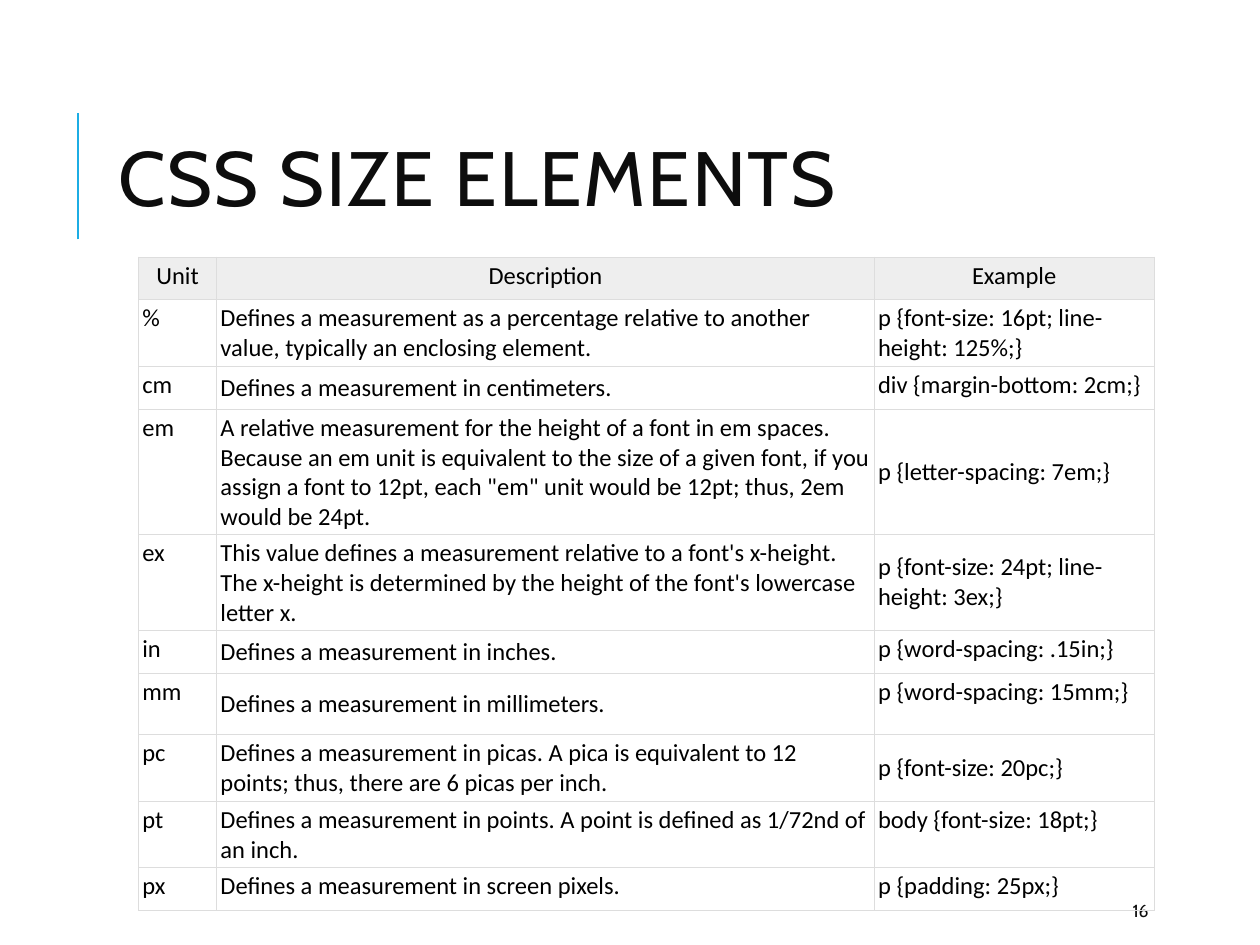
from dataclasses import dataclass
from lxml.etree import SubElement
from pptx import Presentation
from pptx.dml.color import RGBColor as RGB
from pptx.enum.shapes import MSO_CONNECTOR as Connector
from pptx.enum.text import MSO_ANCHOR as Anchor, PP_ALIGN as Align
from pptx.oxml.ns import qn
from pptx.util import Inches, Pt


@dataclass(frozen=True)
class Theme:
    heading_font: str = "Cabin"
    table_font: str = "Calibri"
    ink: str = "0D0D0D"
    table_ink: str = "000000"
    accent: str = "1CADE4"
    header_fill: str = "EEEEEE"
    border: str = "DDDDDD"
    title_size: int = 44
    table_size: int = 14
    number_size: int = 10


theme = Theme()
deck = Presentation()
deck.slide_width, deck.slide_height = Inches(10), Inches(7.5)
grid_step = deck.slide_width // 100
slide = deck.slides.add_slide(deck.slide_layouts[6])


def grid(*steps):
    return [round(step * grid_step) for step in steps]


def write(frame, text, *, font, size, color, align=Align.LEFT,
          anchor=Anchor.MIDDLE, line_spacing=None, tracking=None):
    frame.word_wrap = True
    frame.vertical_anchor = anchor
    paragraph = frame.paragraphs[0]
    paragraph.alignment = align
    paragraph.line_spacing = line_spacing
    run = paragraph.add_run()
    run.text = text
    run.font.name = font
    run.font.size = Pt(size)
    run.font.color.rgb = RGB.from_string(color)
    if tracking:
        run.font._element.set("spc", str(tracking * 100))


accent_bar = slide.shapes.add_connector(Connector.STRAIGHT, *grid(6.2, 19, 6.2, 9))
accent_bar.line.color.rgb = RGB.from_string(theme.accent)
accent_bar.line.width = Pt(1.5)
SubElement(accent_bar._element.spPr, qn("a:effectLst"))

title = slide.shapes.add_textbox(*grid(8.4, 6.4, 79.7, 16.4))
write(title.text_frame, "CSS SIZE ELEMENTS", font=theme.heading_font,
      size=theme.title_size, color=theme.ink, line_spacing=0.8, tracking=1)

page_number = slide.shapes.add_textbox(*grid(88.9, 70.8, 8, 3))
write(page_number.text_frame, "16", font=theme.heading_font,
      size=theme.number_size, color=theme.ink)

SHORT, MEDIUM, TALL, TALLEST = 3.4, 4.9, 6.3, 9.1
DESCRIPTION, EXAMPLE = 1, 2
units = [
    (SHORT, None, "Unit", "Description", "Example"),
    (MEDIUM, None, "%",
     "Defines a measurement as a percentage relative to another value, "
     "typically an enclosing element.",
     "p {font-size: 16pt; line-height: 125%;}"),
    (SHORT, DESCRIPTION, "cm", "Defines a measurement in centimeters.",
     "div {margin-bottom: 2cm;}"),
    (TALLEST, EXAMPLE, "em",
     "A relative measurement for the height of a font in em spaces. "
     "Because an em unit is equivalent to the size of a given font, "
     "if you assign a font to 12pt, each \"em\" unit would be 12pt; "
     "thus, 2em would be 24pt.",
     "p {letter-spacing: 7em;}"),
    (TALL, EXAMPLE, "ex",
     "This value defines a measurement relative to a font's x-height. "
     "The x-height is determined by the height of the font's lowercase letter x.",
     "p {font-size: 24pt; line-height: 3ex;}"),
    (SHORT, DESCRIPTION, "in", "Defines a measurement in inches.",
     "p {word-spacing: .15in;}"),
    (MEDIUM, DESCRIPTION, "mm", "Defines a measurement in millimeters.",
     "p {word-spacing: 15mm;}"),
    (MEDIUM, EXAMPLE, "pc",
     "Defines a measurement in picas. A pica is equivalent to 12 points; "
     "thus, there are 6 picas per inch.",
     "p {font-size: 20pc;}"),
    (MEDIUM, None, "pt",
     "Defines a measurement in points. A point is defined as 1/72nd of an inch.",
     "body {font-size: 18pt;}"),
    (SHORT, None, "px", "Defines a measurement in screen pixels.",
     "p {padding: 25px;}"),
]

unit_table = slide.shapes.add_table(len(units), 3, *grid(11, 20.4, 80.6, 51.8)).table
unit_table.first_row = unit_table.horz_banding = False
for column, width in zip(unit_table.columns, grid(6.2, 52.2, 22.2)):
    column.width = width

for row_index, (height, centered_column, *texts) in enumerate(units):
    is_header = row_index == 0
    unit_table.rows[row_index].height = grid(height)[0]
    for column_index, text in enumerate(texts):
        cell = unit_table.cell(row_index, column_index)
        (cell.margin_left, cell.margin_right,
         cell.margin_top, cell.margin_bottom) = grid(0.3, 0.3, 0.3, 0.3)
        write(cell.text_frame, text, font=theme.table_font,
              size=theme.table_size, color=theme.table_ink,
              align=Align.CENTER if is_header else Align.LEFT,
              anchor=None)
        cell.vertical_anchor = (
            Anchor.MIDDLE if column_index == centered_column else Anchor.TOP)
        properties = cell._tc.get_or_add_tcPr()
        for side in ("a:lnL", "a:lnR", "a:lnT", "a:lnB"):
            edge = SubElement(properties, qn(side), w=str(Pt(0.6)))
            edge_fill = SubElement(edge, qn("a:solidFill"))
            SubElement(edge_fill, qn("a:srgbClr"), val=theme.border)
        if is_header:
            cell.fill.solid()
            cell.fill.fore_color.rgb = RGB.from_string(theme.header_fill)
        else:
            cell.fill.background()

deck.save("out.pptx")
